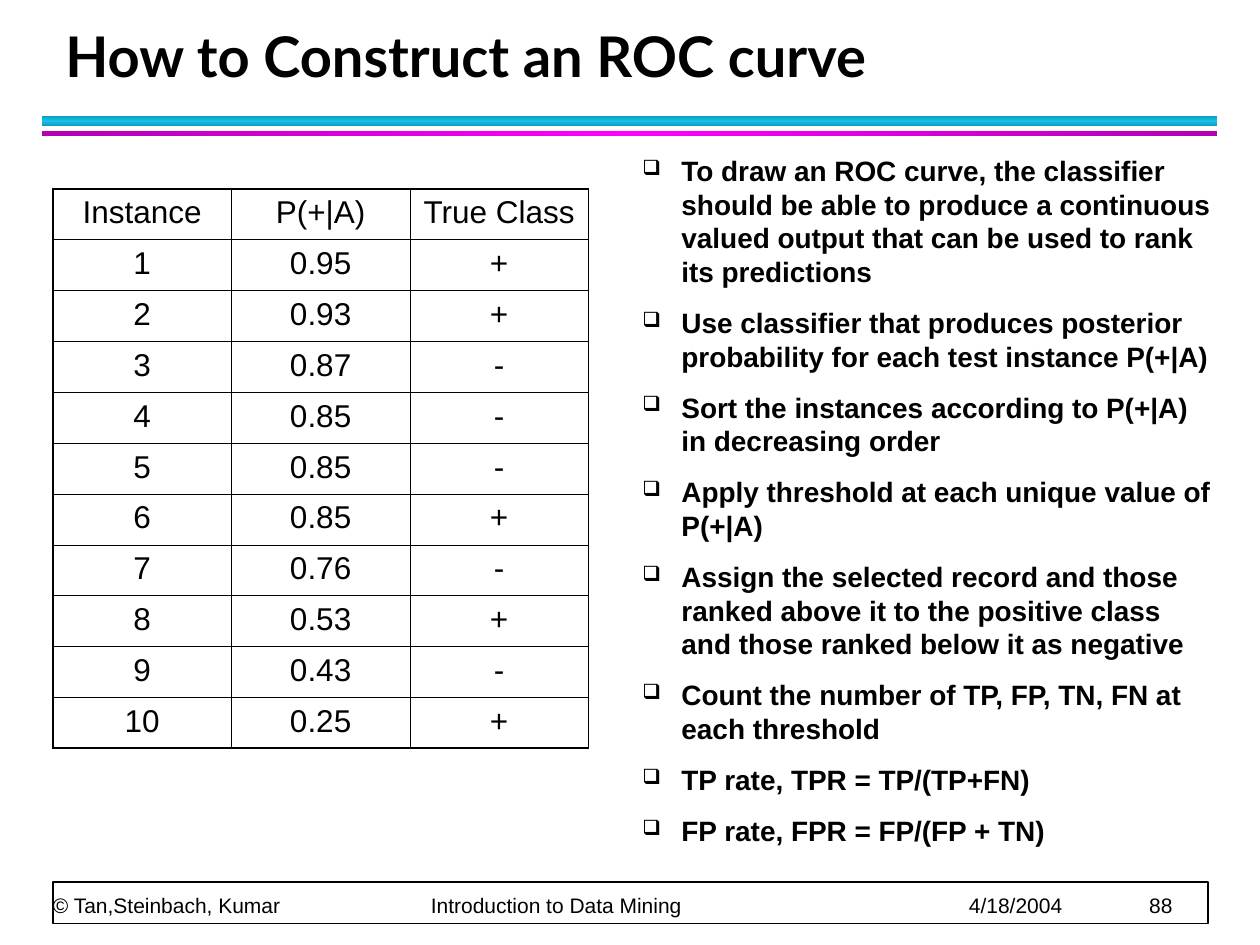
from dataclasses import dataclass

from lxml.etree import SubElement
from pptx import Presentation
from pptx.dml.color import RGBColor
from pptx.enum.shapes import MSO_SHAPE
from pptx.enum.text import MSO_ANCHOR, PP_ALIGN
from pptx.oxml import parse_xml
from pptx.oxml.ns import nsdecls, qn
from pptx.util import Inches, Pt


@dataclass(frozen=True)
class Theme:
    ink: str = "000000"
    paper: str = "FFFFFF"
    cyan: tuple = ("0E9BBA", "12C2E9", "0E9BBA")
    magenta: tuple = ("B200B2", "FF00FF", "B200B2")
    title_font: str = "Lato"
    body_font: str = "Arial"
    title: int = 32
    cell: int = 18
    body: int = 16
    footer: int = 12
    outer_rule: float = 1.08
    inner_rule: float = 0.45


THEME = Theme()


def write(p, text, *, size, font=THEME.body_font, bold=False,
          align=PP_ALIGN.LEFT, before=None, leading=None):
    p.alignment = align
    if before is not None:
        p.space_before = Pt(before)
    if leading is not None:
        p.line_spacing = Pt(leading)
    r = p.add_run()
    r.text = text
    r.font.size = Pt(size)
    r.font.name = font
    r.font.bold = bold
    r.font.color.rgb = RGBColor.from_string(THEME.ink)


class SlideBuilder:
    def __init__(self, slide, theme):
        self.s = slide
        self.theme = theme

    def rect(self, x, y, w, h):
        sp = self.s.shapes.add_shape(
            MSO_SHAPE.RECTANGLE, Inches(x), Inches(y), Inches(w), Inches(h))
        sp.shadow.inherit = False
        return sp

    def gradient_bar(self, x, y, w, h, colors, angle):
        sp = self.rect(x, y, w, h)
        sp.line.fill.background()
        sp.fill.gradient()
        sp.fill.gradient_angle = angle
        stops = next(sp._element.iter(qn("a:gsLst")))
        for old in list(stops):
            stops.remove(old)
        for i, color in enumerate(colors):
            pos = i * 100000 // (len(colors) - 1)
            gs = SubElement(stops, qn("a:gs"), pos=str(pos))
            SubElement(gs, qn("a:srgbClr"), val=color)

    def frame(self, x, y, w, h):
        sp = self.rect(x, y, w, h)
        sp.fill.solid()
        sp.fill.fore_color.rgb = RGBColor.from_string(self.theme.paper)
        sp.line.color.rgb = RGBColor.from_string(self.theme.ink)
        sp.line.width = Pt(1)

    def text_box(self, x, y, w, h, anchor=MSO_ANCHOR.TOP, inset=True):
        sp = self.s.shapes.add_textbox(Inches(x), Inches(y), Inches(w), Inches(h))
        tf = sp.text_frame
        tf.word_wrap = True
        tf.vertical_anchor = anchor
        if not inset:
            tf.margin_left = tf.margin_right = tf.margin_top = tf.margin_bottom = 0
        return tf

    def title(self, x, y, w, h, text):
        tf = self.text_box(x, y, w, h, MSO_ANCHOR.BOTTOM)
        write(tf.paragraphs[0], text, size=self.theme.title,
              font=self.theme.title_font, bold=True, leading=36)

    def footer(self, x, y, w, h, parts, stops):
        tf = self.text_box(x, y, w, h, MSO_ANCHOR.BOTTOM, inset=False)
        p = tf.paragraphs[0]
        tabs = SubElement(p._p.get_or_add_pPr(), qn("a:tabLst"))
        for stop in stops:
            SubElement(tabs, qn("a:tab"), pos=str(Inches(stop)), algn="l")
        write(p, "\t".join(parts), size=self.theme.footer, leading=20)

    def bullets(self, x, y, w, h, items, indent=0.31):
        tf = self.text_box(x, y, w, h)
        for i, item in enumerate(items):
            p = tf.add_paragraph() if i else tf.paragraphs[0]
            pPr = p._p.get_or_add_pPr()
            pPr.set("marL", str(Inches(indent)))
            pPr.set("indent", str(-Inches(indent)))
            color = SubElement(pPr, qn("a:buClr"))
            SubElement(color, qn("a:srgbClr"), val=self.theme.ink)
            SubElement(pPr, qn("a:buSzPct"), val="75000")
            SubElement(pPr, qn("a:buChar"), char="❑")
            write(p, item, size=self.theme.body, bold=True,
                  before=10 if i else None)

    def borders(self, cell, outer):
        tcPr = cell._tc.get_or_add_tcPr()
        for i, side in enumerate("LRTB"):
            rule = self.theme.outer_rule if side in outer else self.theme.inner_rule
            tcPr.insert(i, parse_xml(
                f'<a:ln{side} {nsdecls("a")} w="{int(Pt(rule))}"><a:solidFill>'
                f'<a:srgbClr val="{self.theme.ink}"/></a:solidFill></a:ln{side}>'))

    def table(self, x, y, w, h, rows):
        n_rows, n_cols = len(rows), len(rows[0])
        table = self.s.shapes.add_table(
            n_rows, n_cols, Inches(x), Inches(y), Inches(w), Inches(h)).table
        table.first_row = table.horz_banding = False
        for i, row in enumerate(rows):
            for j, value in enumerate(row):
                cell = table.cell(i, j)
                cell.fill.background()
                edges = {"L": j == 0, "R": j == n_cols - 1,
                         "T": i == 0, "B": i == n_rows - 1}
                self.borders(cell, [side for side, on in edges.items() if on])
                write(cell.text_frame.paragraphs[0], value,
                      size=self.theme.cell, align=PP_ALIGN.CENTER)


def main():
    prs = Presentation()
    prs.slide_width, prs.slide_height = Inches(10), Inches(7.5)
    s = SlideBuilder(prs.slides.add_slide(prs.slide_layouts[6]), THEME)

    s.gradient_bar(0.33, 0.92, 9.33, 0.08, THEME.cyan, 90)
    s.gradient_bar(0.33, 1.04, 9.33, 0.04, THEME.magenta, 0)
    s.frame(0.42, 7, 9.17, 0.33)
    s.footer(0.42, 6.72, 9.15, 0.56,
             ["© Tan,Steinbach, Kumar", "Introduction to Data Mining",
              "4/18/2004", "88"],
             [3, 7.27, 8.7])
    s.title(0.42, 0.17, 9.06, 0.58, "How to Construct an ROC curve")

    scores = ["0.95", "0.93", "0.87", "0.85", "0.85",
              "0.85", "0.76", "0.53", "0.43", "0.25"]
    instances = [(str(n), score, label)
                 for n, (score, label) in enumerate(zip(scores, "++---+-+-+"), 1)]
    s.table(0.42, 1.5, 4.25, 4.44,
            [("Instance", "P(+|A)", "True Class"), *instances])

    s.bullets(5, 1.17, 4.75, 5.61, [
        "To draw an ROC curve, the classifier should be able to produce a "
        "continuous valued output that can be used to rank its predictions",
        "Use classifier that produces posterior probability for each test "
        "instance P(+|A)",
        "Sort the instances according to P(+|A) in decreasing order",
        "Apply threshold at each unique value of P(+|A)",
        "Assign the selected record and those ranked above it to the positive "
        "class and those ranked below it as negative",
        "Count the number of TP, FP, TN, FN at each threshold",
        "TP rate, TPR = TP/(TP+FN)",
        "FP rate, FPR = FP/(FP + TN)",
    ])
    prs.save("out.pptx")


if __name__ == "__main__":
    main()
